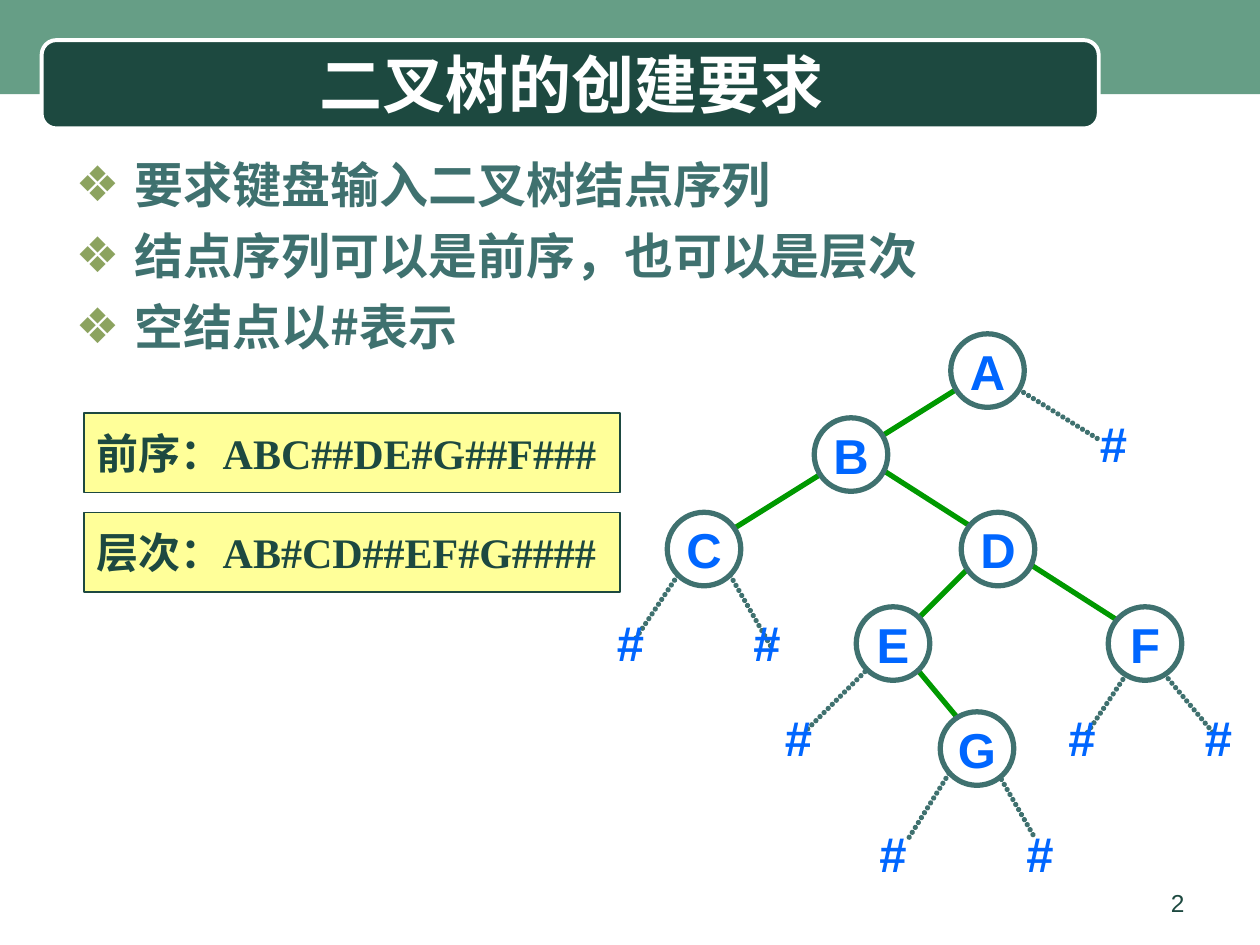
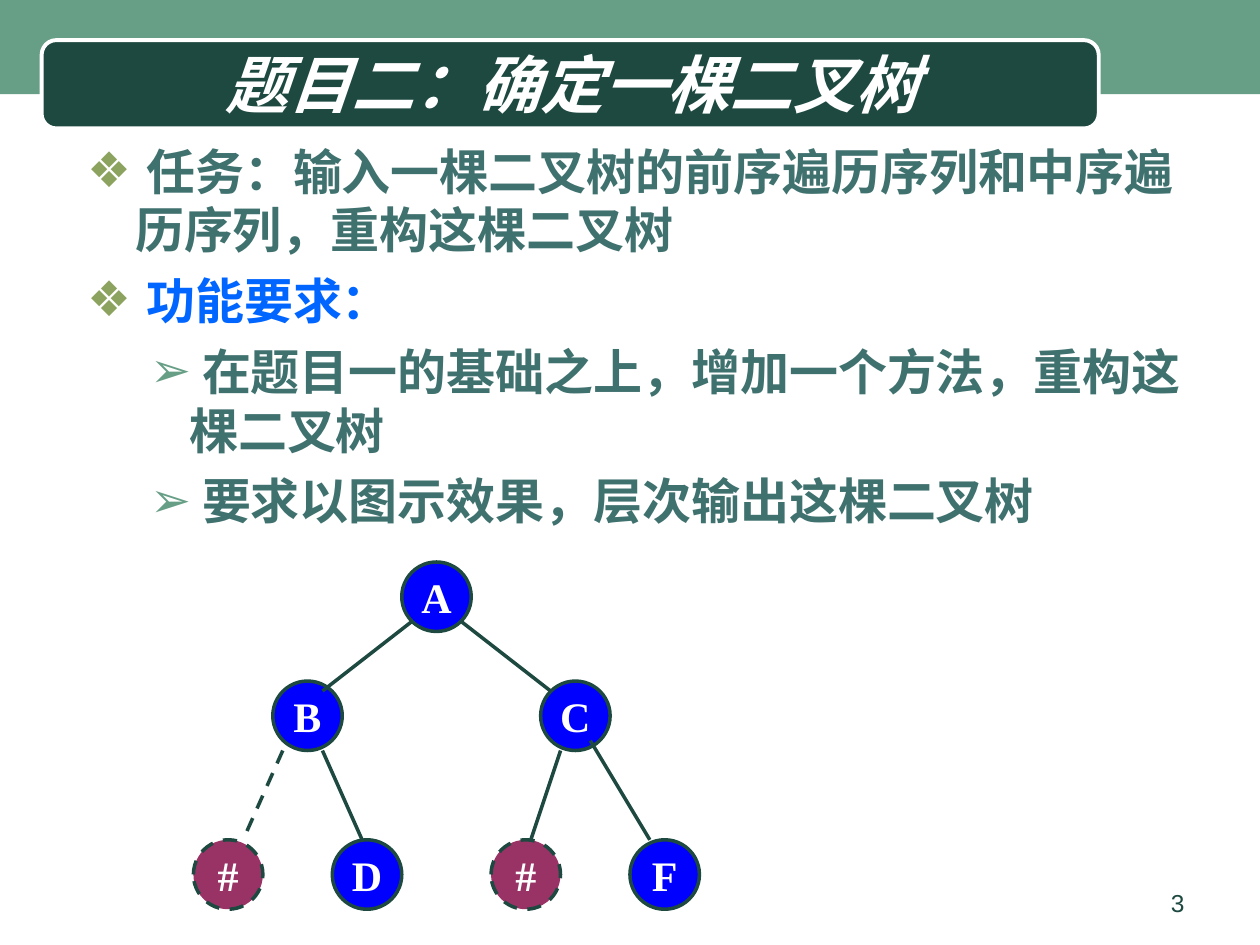
from lxml import etree
from pptx import Presentation
from pptx.dml.color import RGBColor
from pptx.enum.dml import MSO_LINE
from pptx.enum.shapes import MSO_CONNECTOR, MSO_SHAPE
from pptx.enum.text import MSO_ANCHOR, MSO_AUTO_SIZE, PP_ALIGN
from pptx.oxml.ns import qn
from pptx.util import Cm, Pt

RECTANGLE, ROUNDED = MSO_SHAPE.RECTANGLE, MSO_SHAPE.ROUNDED_RECTANGLE
OVAL = MSO_SHAPE.OVAL
STRAIGHT = MSO_CONNECTOR.STRAIGHT
DASH = MSO_LINE.DASH
MIDDLE, NO_AUTOFIT = MSO_ANCHOR.MIDDLE, MSO_AUTO_SIZE.NONE
LEFT, CENTER, RIGHT = PP_ALIGN.LEFT, PP_ALIGN.CENTER, PP_ALIGN.RIGHT

WHITE = RGBColor(0xFF, 0xFF, 0xFF)
BAND_GREEN = RGBColor(0x66, 0x9E, 0x86)
DARK_GREEN = RGBColor(0x1D, 0x49, 0x40)
TEAL = RGBColor(0x3F, 0x71, 0x6F)
OLIVE = RGBColor(0x8C, 0xA3, 0x5F)
EDGE_GREEN = RGBColor(0x00, 0x99, 0x00)
LETTER_BLUE = RGBColor(0x00, 0x66, 0xFF)
NODE_BLUE = RGBColor(0x00, 0x00, 0xFF)
PLUM = RGBColor(0x99, 0x33, 0x66)
PALE_YELLOW = RGBColor(0xFF, 0xFF, 0x99)

SANS, SERIF = "Arial", "Times New Roman"
HEADING, CJK = "Noto Sans CJK JP", "Noto Sans CJK SC"
NODE_CELLS = 7
BULLETS = [("❖", OLIVE, 0.97, 0.97), ("➢", BAND_GREEN, 2.06, 0.79)]


def add_run(paragraph, text, size, color, latin, east_asian=CJK, bold=True, italic=False):
    run = paragraph.add_run()
    run.text = text
    font = run.font
    font.size, font.bold, font.italic = Pt(size), bold, italic
    font.color.rgb = color
    font.name = latin
    east = etree.SubElement(font._element, qn("a:ea"))
    east.set("typeface", east_asian)


def add_figure(slide, preset, box, fill, line=None, width=1, dash=None):
    figure = slide.shapes.add_shape(preset, *(Cm(n) for n in box))
    figure.shadow.inherit = False
    figure.fill.solid()
    figure.fill.fore_color.rgb = fill
    if line is None:
        figure.line.fill.background()
    else:
        figure.line.color.rgb = line
        figure.line.width = Pt(width)
        figure.line.dash_style = dash
    return figure


def add_label(slide, box, text, size, color, latin, align, bold=True):
    label = slide.shapes.add_textbox(*(Cm(n) for n in box))
    label.text_frame.word_wrap = True
    paragraph = label.text_frame.paragraphs[0]
    paragraph.alignment = align
    add_run(paragraph, text, size, color, latin, bold=bold)


def write_inside(figure, text, size, color, latin, align=CENTER):
    frame = figure.text_frame
    frame.word_wrap = False
    frame.vertical_anchor = MIDDLE
    paragraph = frame.paragraphs[0]
    paragraph.alignment = align
    add_run(paragraph, text, size, color, latin)


def add_edge(slide, ends, color, width):
    edge = slide.shapes.add_connector(STRAIGHT, *(Cm(n) for n in ends))
    edge.line.color.rgb = color
    edge.line.width = Pt(width)
    etree.SubElement(edge._element.spPr, qn("a:effectLst"))
    return edge


def set_round_dots(edge):
    outline = edge.line._ln
    outline.set("cap", "rnd")
    pattern = etree.SubElement(outline, qn("a:custDash"))
    dot = etree.SubElement(pattern, qn("a:ds"))
    dot.set("d", "100000")
    dot.set("sp", "10000")


class TreeGrid:
    def __init__(self, left, top, cell):
        self.left, self.top, self.cell = left, top, cell

    def point(self, column, row):
        return self.left + column * self.cell, self.top + row * self.cell

    def node_box(self, column, row):
        return (*self.point(column, row), *[NODE_CELLS * self.cell] * 2)

    def ends(self, start, end):
        return self.point(*start) + self.point(*end)


def build_frame(slide, layout):
    band = add_figure(slide, RECTANGLE, (0, 0, 25.4, 1.9), BAND_GREEN)
    plate = add_figure(slide, ROUNDED, (0.84, 0.81, 21.31, 1.78), DARK_GREEN, WHITE, 2.25)
    for index, part in enumerate((band, plate)):
        layout.shapes.element.insert(2 + index, part.element)


def place(placeholder, box):
    placeholder.left, placeholder.top, placeholder.width, placeholder.height = (Cm(n) for n in box)
    placeholder.text_frame.auto_size = NO_AUTOFIT


def fill_title(slide, text, number, italic=False):
    title = slide.shapes.title
    place(title, (1.27, 0.89, 20.52, 1.57))
    title.text_frame.vertical_anchor = MIDDLE
    paragraph = title.text_frame.paragraphs[0]
    paragraph.alignment = CENTER
    add_run(paragraph, text, 36, WHITE, HEADING, HEADING, italic=italic)
    add_label(slide, (18.21, 17.78, 5.92, 0.89), str(number), 14, DARK_GREEN, SANS, RIGHT, bold=False)


def set_bullet(paragraph, level):
    mark, color, margin, hanging = BULLETS[level]
    paragraph.level = level
    properties = paragraph._p.get_or_add_pPr()
    properties.set("marL", str(Cm(margin)))
    properties.set("indent", str(-Cm(hanging)))
    tint = etree.SubElement(properties, qn("a:buClr"))
    etree.SubElement(tint, qn("a:srgbClr")).set("val", str(color))
    etree.SubElement(properties, qn("a:buChar")).set("char", mark)


def fill_list(slide, box, items):
    body = slide.placeholders[1]
    place(body, box)
    frame = body.text_frame
    for index, (level, text, color) in enumerate(items):
        paragraph = frame.add_paragraph() if index else frame.paragraphs[0]
        paragraph.space_before = Pt(7)
        paragraph.line_spacing = Pt(33.5)
        set_bullet(paragraph, level)
        add_run(paragraph, " " + text, 28, color, CJK)


def add_sequences(slide, sequences):
    for index, sequence in enumerate(sequences):
        box = (1.7, 8.33 + index * 2, 10.8, 1.6)
        panel = add_figure(slide, RECTANGLE, box, PALE_YELLOW, DARK_GREEN)
        write_inside(panel, sequence, 24, DARK_GREEN, SERIF, LEFT)


def draw_creation_tree(slide):
    grid = TreeGrid(11.97, 6.73, 2.54 / 12)
    empty_links = [
        ((27, 31), (20, 38)), ((35, 40), (30, 48)), ((38, 41), (42, 48)), ((8, 23), (4, 29)),
        ((13, 23), (17, 30)), ((54, 32), (59, 38)), ((40, 5), (48, 10)), ((51, 32), (47, 38)),
    ]
    branches = [((30, 31), (35, 37)), ((36, 22), (29, 29)), ((26, 12), (51, 28)), ((35, 5), (11, 20))]
    nodes = {"A": (34, 0), "B": (21, 8), "C": (7, 17), "D": (35, 17), "E": (25, 26), "F": (49, 26), "G": (33, 36)}
    empties = [(0, 26), (13, 26), (16, 35), (25, 46), (39, 46), (43, 35), (56, 35), (46, 7)]
    for link in empty_links:
        set_round_dots(add_edge(slide, grid.ends(*link), TEAL, 3))
    for branch in branches:
        add_edge(slide, grid.ends(*branch), EDGE_GREEN, 3)
    for letter, cell in nodes.items():
        node = add_figure(slide, OVAL, grid.node_box(*cell), WHITE, TEAL, 3)
        write_inside(node, letter, 28, LETTER_BLUE, SANS)
    for cell in empties:
        add_label(slide, grid.node_box(*cell), "#", 28, LETTER_BLUE, SANS, CENTER)


def draw_rebuilt_tree(slide):
    grid = TreeGrid(3.9, 11.33, 0.2)
    nodes = [
        ("A", 21, 0), ("B", 8, 12), ("F", 44, 28), ("C", 35, 12),
        ("D", 14, 28), ("#", 0, 28), ("#", 30, 28),
    ]
    branches = [
        ((22, 6), (13, 13)), ((27, 6), (36, 13)), ((40, 18), (46, 28)),
        ((37, 19), (34, 28)), ((13, 19), (17, 28)),
    ]
    for letter, column, row in nodes:
        fill, dash = (PLUM, DASH) if letter == "#" else (NODE_BLUE, None)
        node = add_figure(slide, OVAL, grid.node_box(column, row), fill, DARK_GREEN, 2, dash)
        write_inside(node, letter, 24, WHITE, SERIF)
    for branch in branches:
        add_edge(slide, grid.ends(*branch), DARK_GREEN, 2)
    empty_link = add_edge(slide, grid.ends((9, 19), (5, 28)), DARK_GREEN, 2)
    empty_link.line.dash_style = DASH


def main():
    deck = Presentation()
    deck.slide_width, deck.slide_height = Cm(25.4), Cm(19.05)
    layout = deck.slide_layouts[1]

    creation = deck.slides.add_slide(layout)
    build_frame(creation, layout)
    fill_title(creation, "二叉树的创建要求", 2)
    fill_list(creation, (1.27, 3, 22.86, 5.33), [
        (0, "要求键盘输入二叉树结点序列", TEAL),
        (0, "结点序列可以是前序，也可以是层次", TEAL),
        (0, "空结点以#表示", TEAL),
    ])
    draw_creation_tree(creation)
    add_sequences(creation, ["前序：ABC##DE#G##F###", "层次：AB#CD##EF#G####"])

    rebuilding = deck.slides.add_slide(layout)
    fill_title(rebuilding, "题目二：确定一棵二叉树", 3, italic=True)
    fill_list(rebuilding, (1.5, 2.72, 22.81, 8.81), [
        (0, "任务：输入一棵二叉树的前序遍历序列和中序遍历序列，重构这棵二叉树", TEAL),
        (0, "功能要求：", LETTER_BLUE),
        (1, "在题目一的基础之上，增加一个方法，重构这棵二叉树", TEAL),
        (1, "要求以图示效果，层次输出这棵二叉树", TEAL),
    ])
    draw_rebuilt_tree(rebuilding)

    deck.save("out.pptx")


if __name__ == "__main__":
    main()
